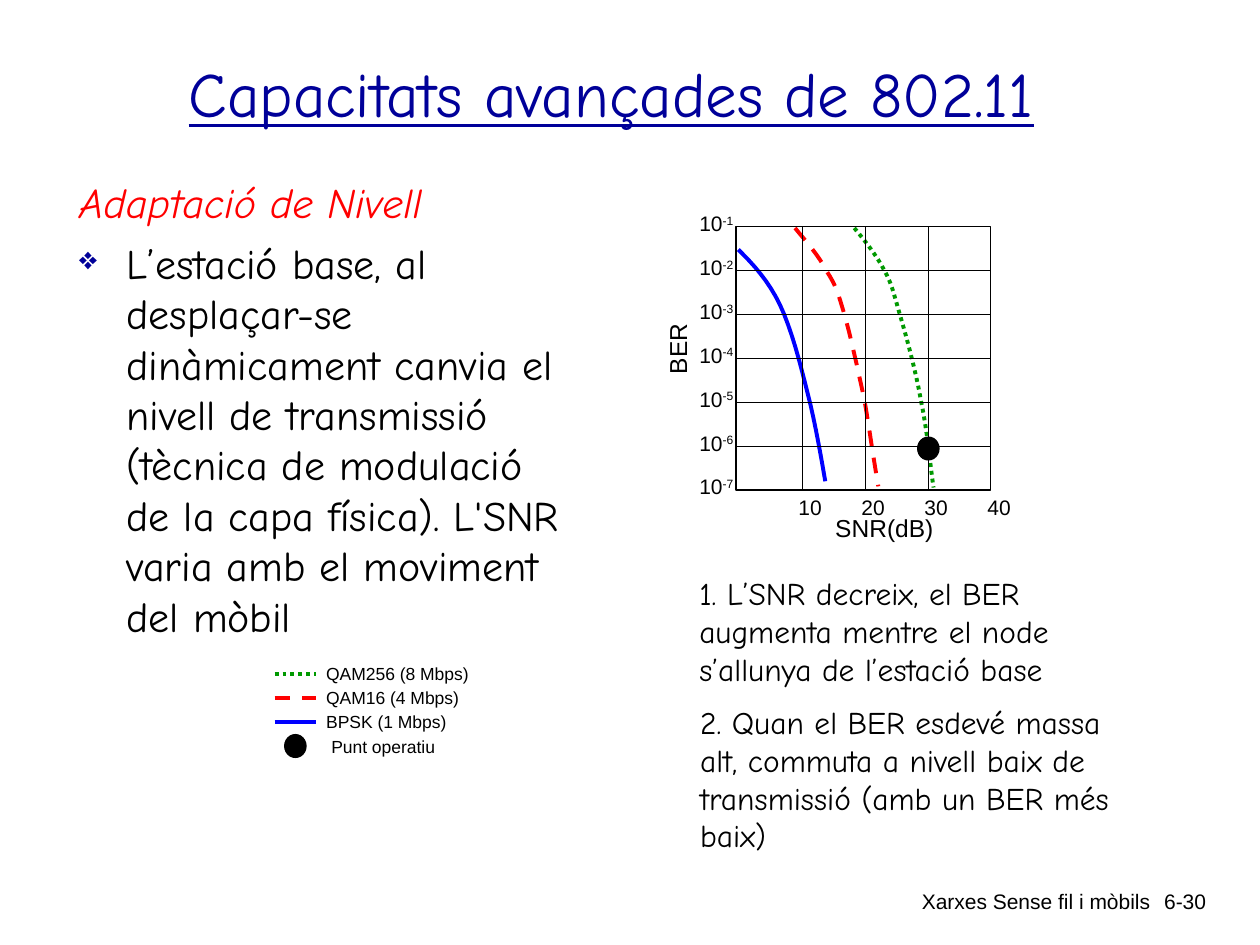
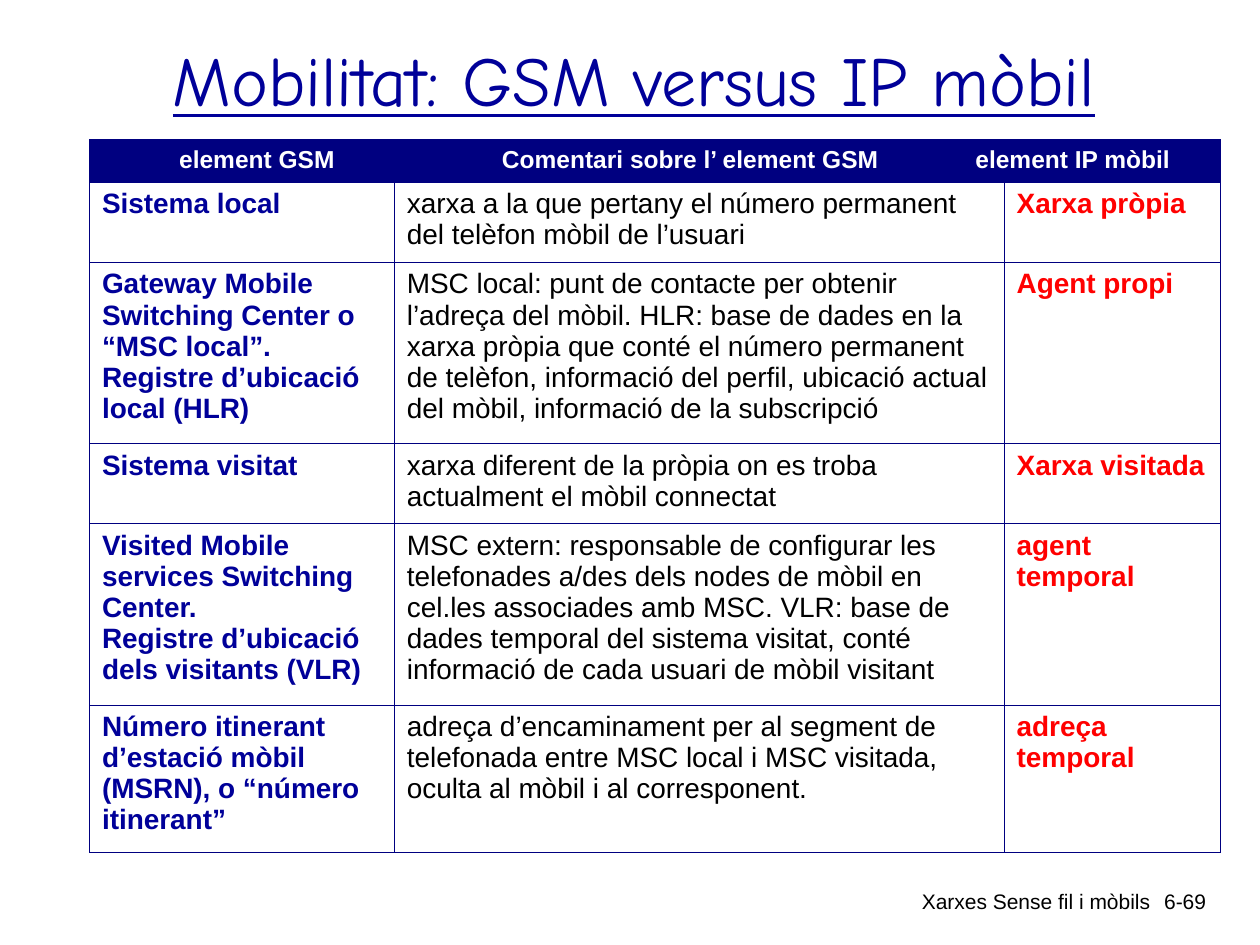
from lxml import etree
from pptx import Presentation
from pptx.dml.color import RGBColor
from pptx.enum.dml import MSO_LINE
from pptx.enum.shapes import MSO_CONNECTOR, MSO_SHAPE
from pptx.enum.text import MSO_ANCHOR, PP_ALIGN
from pptx.oxml.ns import qn
from pptx.util import Pt

LEFT, CENTER, RIGHT = PP_ALIGN.LEFT, PP_ALIGN.CENTER, PP_ALIGN.RIGHT
MIDDLE = MSO_ANCHOR.MIDDLE
STRAIGHT = MSO_CONNECTOR.STRAIGHT
RECTANGLE, OVAL = MSO_SHAPE.RECTANGLE, MSO_SHAPE.OVAL
SOLID, DASH, DOTS = MSO_LINE.SOLID, MSO_LINE.DASH, MSO_LINE.ROUND_DOT

COLORS = {
    "ink": "000000",
    "white": "FFFFFF",
    "title": "000099",
    "accent": "FF0000",
    "grid": "000080",
    "bpsk": "0000FF",
    "qam16": "FF0000",
    "qam256": "009900",
}
SANS, COMIC = "Arial", "Comic Neue"
FOOTER = "Xarxes Sense fil i mòbils"

DASHES = {"bpsk": SOLID, "qam16": DASH, "qam256": DOTS}
LEGEND = [
    ("qam256", "QAM256 (8 Mbps)"),
    ("qam16", "QAM16 (4 Mbps)"),
    ("bpsk", "BPSK (1 Mbps)"),
]
CURVES = {
    "bpsk": [(1.4, 13), (10.1, 21.6), (18.7, 31), (25.2, 44.6), (31.7, 58.3),
             (36.7, 77.8), (41, 95), (45.4, 111.6), (49.7, 137.5), (51.1, 145.4)],
    "qam16": [(33.8, 0.7), (40.3, 8.6), (47.5, 16.6), (51.8, 25.2), (56.9, 33.1),
              (58.3, 37.4), (61.9, 49.7), (65.5, 61.9), (69.8, 82.1), (73.4, 98.6),
              (76.3, 115.2), (78.5, 131.8), (81.4, 148.3)],
    "qam256": [(67.7, 0.7), (74.2, 8.6), (80.6, 16.6), (85, 25.2), (89.3, 33.1),
               (90, 37.4), (93.6, 49.7), (97.2, 61.9), (103, 82.8), (105.8, 99.4),
               (109.4, 115.9), (111.6, 141.1), (113, 149)],
}
CURVE_STEPS = 8

ADAPTATION = (
    "L’estació base, al desplaçar-se dinàmicament canvia el nivell de transmissió "
    "(tècnica de modulació de la capa física). L'SNR varia amb el moviment del mòbil"
)
NOTES = [
    (392.5, 324.7, "1. L’SNR decreix, el BER augmenta mentre el node s’allunya de l’estació base"),
    (393, 398.2, "2. Quan el BER esdevé massa alt, commuta a nivell baix de transmissió "
                 "(amb un BER més baix)"),
]

COLUMN_WIDTHS = [174.2, 17.3, 303.8, 27.4, 123.8]
ROW_HEIGHTS = [24.3, 45.8, 103.6, 45.8, 103.6, 84.4]
HEADINGS = [
    (0, 1, "element GSM", CENTER),
    (2, 2, "Comentari sobre l’ element GSM", CENTER),
    (3, 4, "element IP mòbil", LEFT),
]
MOBILITY_ROWS = [
    ("Sistema local",
     "xarxa a la que pertany el número permanent del telèfon mòbil de l’usuari",
     "Xarxa pròpia"),
    ("Gateway Mobile Switching Center o “MSC local”. Registre d’ubicació local (HLR)",
     "MSC local: punt de contacte per obtenir l’adreça del mòbil. HLR: base de dades en la "
     "xarxa pròpia que conté el número permanent de telèfon, informació del perfil, ubicació "
     "actual del mòbil, informació de la subscripció",
     "Agent propi"),
    ("Sistema visitat",
     "xarxa diferent de la pròpia on es troba actualment el mòbil connectat",
     "Xarxa visitada"),
    ("Visited Mobile services Switching Center.\nRegistre d’ubicació dels visitants (VLR)",
     "MSC extern: responsable de configurar les telefonades a/des dels nodes de mòbil en "
     "cel.les associades amb MSC. VLR: base de dades temporal del sistema visitat, conté "
     "informació de cada usuari de mòbil visitant",
     "agent temporal"),
    ("Número itinerant d’estació mòbil (MSRN), o “número itinerant”",
     "adreça d’encaminament per al segment de telefonada entre MSC local i MSC visitada, "
     "oculta al mòbil i al corresponent.",
     "adreça temporal"),
]


def rgb(key):
    return RGBColor.from_string(COLORS[key])


def style(paragraph, size, face=SANS, color="ink", align=LEFT, **traits):
    paragraph.alignment = align
    font = paragraph.font
    font.size, font.name = Pt(size), face
    font.color.rgb = rgb(color)
    for trait, value in traits.items():
        setattr(font, trait, value)


def add_text(slide, box, text, size, anchor=None, **look):
    label = slide.shapes.add_textbox(*map(Pt, box))
    frame = label.text_frame
    frame.word_wrap = True
    if anchor is not None:
        frame.vertical_anchor = anchor
    frame.text = text
    style(frame.paragraphs[0], size, **look)
    return label


def set_line(shape, color, width, dash=SOLID):
    shape.line.color.rgb = rgb(color)
    shape.line.width = Pt(width)
    if dash != SOLID:
        shape.line.dash_style = dash


def add_line(slide, ends, color="ink", width=0.75, dash=SOLID):
    line = slide.shapes.add_connector(STRAIGHT, *map(Pt, ends))
    set_line(line, color, width, dash)
    etree.SubElement(line._element.spPr, qn("a:effectLst"))


def add_operating_point(slide, x, y):
    point = slide.shapes.add_shape(OVAL, Pt(x - 6.1), Pt(y - 6.5), Pt(12.2), Pt(13))
    point.shadow.inherit = False
    point.fill.solid()
    point.fill.fore_color.rgb = rgb("ink")
    set_line(point, "ink", 0.75)


def add_title(slide, box, text, size):
    add_text(slide, box, text, size, anchor=MIDDLE, face=COMIC, color="title",
             align=CENTER, underline=True)


def add_footer(slide, page):
    add_text(slide, (360.7, 504, 303.8, 25), FOOTER, 12, align=RIGHT)
    add_text(slide, (643, 504, 53.3, 36), page, 12, align=RIGHT)


def add_bullet(paragraph):
    props = paragraph._p.get_or_add_pPr()
    props.set("marL", str(Pt(27)))
    props.set("indent", str(Pt(-27)))
    color = etree.SubElement(props, qn("a:buClr"))
    etree.SubElement(color, qn("a:srgbClr"), val=COLORS["title"])
    etree.SubElement(props, qn("a:buSzPct"), val="75000")
    etree.SubElement(props, qn("a:buChar"), char="❖")


def add_adaptation(slide, box):
    body = add_text(slide, box, "Adaptació de Nivell", 24, face=COMIC,
                    color="accent", italic=True)
    explanation = body.text_frame.add_paragraph()
    explanation.text = ADAPTATION
    add_bullet(explanation)
    explanation.space_before = Pt(6)
    style(explanation, 24, face=COMIC)


def add_legend(slide, left, top, step=13.7):
    for row, (scheme, label) in enumerate(LEGEND):
        y = top + row * step
        add_line(slide, (left, y, left + 23.7, y), scheme, 2.25, DASHES[scheme])
        add_text(slide, (left + 22.3, y - 9.6, 110, 19.4), label, 10)
    y = top + len(LEGEND) * step
    add_operating_point(slide, left + 11.8, y)
    add_text(slide, (left + 25.2, y - 9.4, 110, 19.4), "Punt operatiu", 10)


def bezier_points(nodes):
    points = [nodes[0]]
    for first in range(0, len(nodes) - 1, 3):
        controls = nodes[first:first + 4]
        for step in range(1, CURVE_STEPS + 1):
            t = step / CURVE_STEPS
            weights = ((1 - t) ** 3, 3 * t * (1 - t) ** 2, 3 * t * t * (1 - t), t ** 3)
            points.append(tuple(sum(w * node[axis] for w, node in zip(weights, controls))
                                for axis in (0, 1)))
    return points


def add_curve(slide, left, top, scheme):
    points = [(Pt(left + x), Pt(top + y)) for x, y in bezier_points(CURVES[scheme])]
    builder = slide.shapes.build_freeform(*points[0])
    builder.add_line_segments(points[1:], close=False)
    curve = builder.convert_to_shape()
    curve.shadow.inherit = False
    curve.fill.background()
    set_line(curve, scheme, 2.25, DASHES[scheme])


def add_ber_plot(slide, box):
    left, top, width, height = box
    right, bottom = left + width, top + height
    for scheme in CURVES:
        add_curve(slide, left, top, scheme)
    border = slide.shapes.add_shape(RECTANGLE, *map(Pt, box))
    border.shadow.inherit = False
    border.fill.background()
    set_line(border, "ink", 0.75)

    snr_marks = [left + 38 + 36 * step for step in range(4)]
    ber_marks = [top + height / 6 * step for step in range(7)]
    for y in ber_marks[1:-1]:
        add_line(slide, (left, y, right, y))
    for x in snr_marks[:-1]:
        add_line(slide, (x, top, x, bottom))
    for step, x in enumerate(snr_marks, 1):
        add_text(slide, (x - 9.3, bottom - 1.2, 36, 21.6), str(10 * step), 12)
    for step, y in enumerate(ber_marks, 1):
        label = add_text(slide, (left - 28, y - 12.8, 40, 21.6), "10", 12)
        exponent = label.text_frame.paragraphs[0].add_run()
        exponent.text = f"-{step}"
        exponent.font._element.set("baseline", "30000")

    add_text(slide, (left + 49.7, bottom + 9.3, 80, 24.5), "SNR(dB)", 14)
    ber = add_text(slide, (left - 60.6, top + 57.6, 55, 24.5), "BER", 14, align=CENTER)
    ber.rotation = 270
    add_operating_point(slide, snr_marks[2], top + 126.7)


def set_cell(cell, text, size, fill=None, **look):
    cell.text = text
    for paragraph in cell.text_frame.paragraphs:
        style(paragraph, size, **look)
    if fill:
        cell.fill.solid()
        cell.fill.fore_color.rgb = rgb(fill)
    else:
        cell.fill.background()


def add_cell_borders(cell):
    props = cell._tc.get_or_add_tcPr()
    for side in ("lnL", "lnR", "lnT", "lnB"):
        border = etree.SubElement(props, qn(f"a:{side}"), w=str(Pt(0.45)))
        fill = etree.SubElement(border, qn("a:solidFill"))
        etree.SubElement(fill, qn("a:srgbClr"), val=COLORS["grid"])


def add_mobility_table(slide, left, top):
    frame = slide.shapes.add_table(
        len(ROW_HEIGHTS), len(COLUMN_WIDTHS), Pt(left), Pt(top),
        Pt(sum(COLUMN_WIDTHS)), Pt(sum(ROW_HEIGHTS)))
    table = frame.table
    table.first_row = table.horz_banding = False
    for column, width in zip(table.columns, COLUMN_WIDTHS):
        column.width = Pt(width)
    for row, height in zip(table.rows, ROW_HEIGHTS):
        row.height = Pt(height)
    for cell in table.iter_cells():
        add_cell_borders(cell)
        cell.fill.background()

    for first, last, heading, align in HEADINGS:
        cell = table.cell(0, first)
        if last > first:
            cell.merge(table.cell(0, last))
        set_cell(cell, heading, 14, fill="grid", color="white", bold=True, align=align)
    table.cell(0, 3).margin_left = Pt(11)

    for row, (gsm, comment, mobile_ip) in enumerate(MOBILITY_ROWS, 1):
        table.cell(row, 1).merge(table.cell(row, 3))
        set_cell(table.cell(row, 0), gsm, 16, color="title", bold=True)
        set_cell(table.cell(row, 1), comment, 16, bold=False)
        set_cell(table.cell(row, 4), mobile_ip, 16, color="accent", bold=True)


def build_adaptation_slide(slide):
    add_footer(slide, "6-30")
    add_title(slide, (43.2, 19.5, 612, 66.2), "Capacitats avançades de 802.11", 36)
    add_adaptation(slide, (38.2, 97.2, 295.2, 365.8))
    add_legend(slide, 157, 385.2)
    add_ber_plot(slide, (420.5, 129.6, 145.5, 150.5))
    for left, top, note in NOTES:
        add_text(slide, (left, top, 252, 72), note, 18, face=COMIC)


def build_mobility_slide(slide):
    add_footer(slide, "6-69")
    add_title(slide, (56.2, 0, 612, 90), "Mobilitat: GSM versus IP mòbil", 40)
    add_mobility_table(slide, 51.1, 79.9)


def main():
    deck = Presentation()
    deck.slide_width, deck.slide_height = Pt(720), Pt(540)
    blank = deck.slide_layouts[6]
    for build in (build_adaptation_slide, build_mobility_slide):
        build(deck.slides.add_slide(blank))
    deck.save("out.pptx")


if __name__ == "__main__":
    main()
